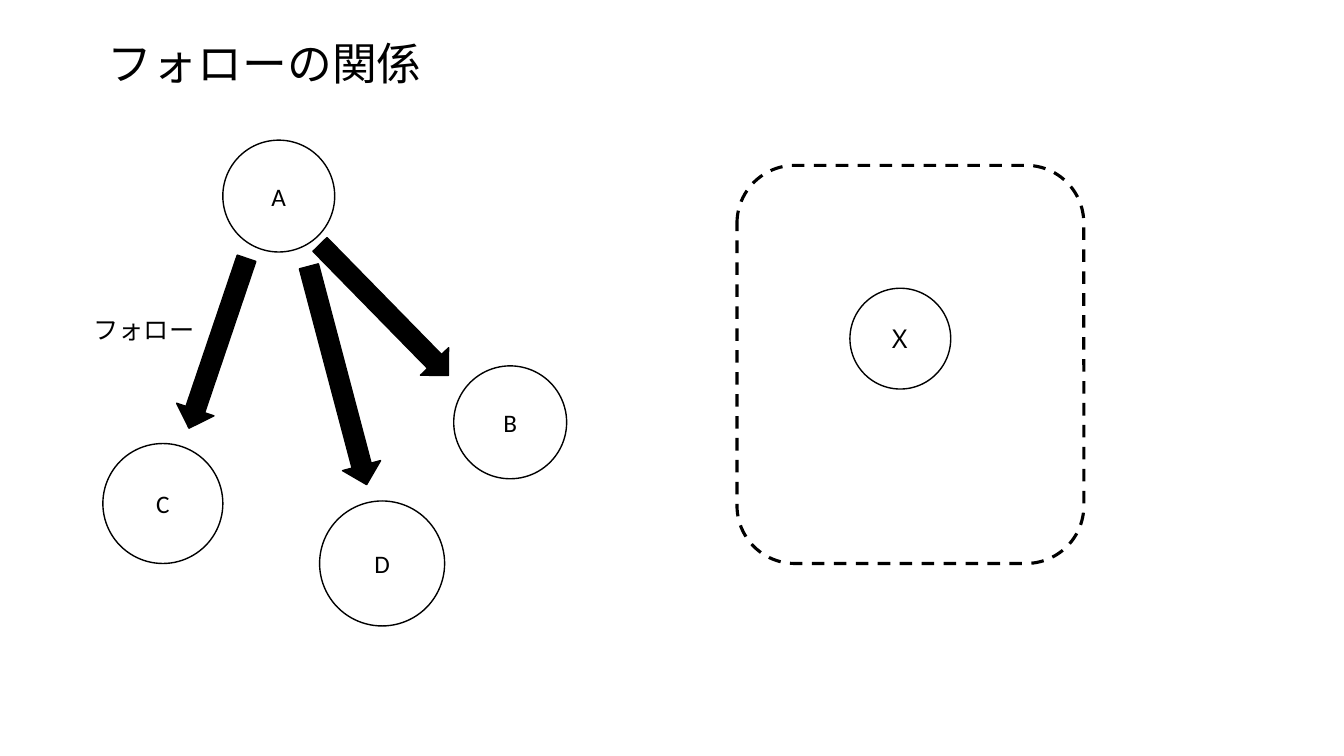
from dataclasses import dataclass

from pptx import Presentation
from pptx.dml.color import RGBColor
from pptx.enum import dml, shapes, text
from pptx.shapes.autoshape import Shape
from pptx.slide import Slide
from pptx.text.text import TextFrame
from pptx.util import Inches, Pt

BLACK = RGBColor(0x00, 0x00, 0x00)
WHITE = RGBColor(0xFF, 0xFF, 0xFF)
FONT = "Calibri"
ARROW_THICKNESS = 0.39


@dataclass(frozen=True)
class User:
    name: str
    left: float
    top: float
    diameter: float


@dataclass(frozen=True)
class Follow:
    left: float
    top: float
    length: float
    angle: float


USERS = [
    User("A", 2.21, 1.39, 1.11),
    User("B", 4.5, 3.63, 1.12),
    User("C", 1.02, 4.4, 1.19),
    User("D", 3.17, 4.97, 1.24),
    User("Ｘ", 8.43, 2.86, 1),
]
FOLLOWS = [
    Follow(2.23, 3.53, 2.24, 75.2),
    Follow(1.27, 3.21, 1.78, 108.7),
    Follow(2.9, 2.88, 1.82, 45.6),
]


def write(frame: TextFrame, wording: str, size: float,
          align: text.PP_ALIGN, anchor: text.MSO_ANCHOR) -> None:
    frame.word_wrap = True
    frame.auto_size = text.MSO_AUTO_SIZE.NONE
    frame.vertical_anchor = anchor
    paragraph = frame.paragraphs[0]
    paragraph.alignment = align
    run = paragraph.add_run()
    run.text = wording
    run.font.name = FONT
    run.font.size = Pt(size)
    run.font.color.rgb = BLACK


def add_outlined(slide: Slide, kind: shapes.MSO_SHAPE, left: float, top: float,
                 width: float, height: float, fill: RGBColor,
                 line_width: float = 1) -> Shape:
    shape = slide.shapes.add_shape(
        kind, Inches(left), Inches(top), Inches(width), Inches(height))
    shape.shadow.inherit = False
    shape.fill.solid()
    shape.fill.fore_color.rgb = fill
    shape.line.color.rgb = BLACK
    shape.line.width = Pt(line_width)
    return shape


def add_user(slide: Slide, user: User) -> None:
    circle = add_outlined(slide, shapes.MSO_SHAPE.OVAL, user.left, user.top,
                          user.diameter, user.diameter, WHITE)
    write(circle.text_frame, user.name, 18,
          text.PP_ALIGN.CENTER, text.MSO_ANCHOR.MIDDLE)


def add_follow(slide: Slide, follow: Follow) -> None:
    arrow = add_outlined(slide, shapes.MSO_SHAPE.RIGHT_ARROW, follow.left,
                         follow.top, follow.length, ARROW_THICKNESS, BLACK)
    arrow.rotation = follow.angle


def main() -> None:
    deck = Presentation()
    deck.slide_width, deck.slide_height = Inches(13.33), Inches(7.5)
    slide = deck.slides.add_slide(deck.slide_layouts[5])

    # Heading
    heading = slide.shapes.title
    heading.left, heading.top = Inches(0.97), Inches(0.3)
    heading.width, heading.height = Inches(3.84), Inches(0.64)
    write(heading.text_frame, "フォローの関係", 32,
          text.PP_ALIGN.LEFT, text.MSO_ANCHOR.TOP)

    # Dashed area around the separate user
    area = add_outlined(slide, shapes.MSO_SHAPE.ROUNDED_RECTANGLE,
                        7.31, 1.64, 3.44, 3.95, WHITE, 2.25)
    area.line.dash_style = dml.MSO_LINE.DASH

    # Users and who follows whom
    for user in USERS:
        add_user(slide, user)
    for follow in FOLLOWS:
        add_follow(slide, follow)

    # Arrow label
    follow_label = slide.shapes.add_textbox(
        Inches(0.83), Inches(3.07), Inches(1.2), Inches(0.4))
    follow_label.text_frame.margin_right = 0
    write(follow_label.text_frame, "フォロー", 18,
          text.PP_ALIGN.LEFT, text.MSO_ANCHOR.TOP)

    deck.save("out.pptx")


if __name__ == "__main__":
    main()
